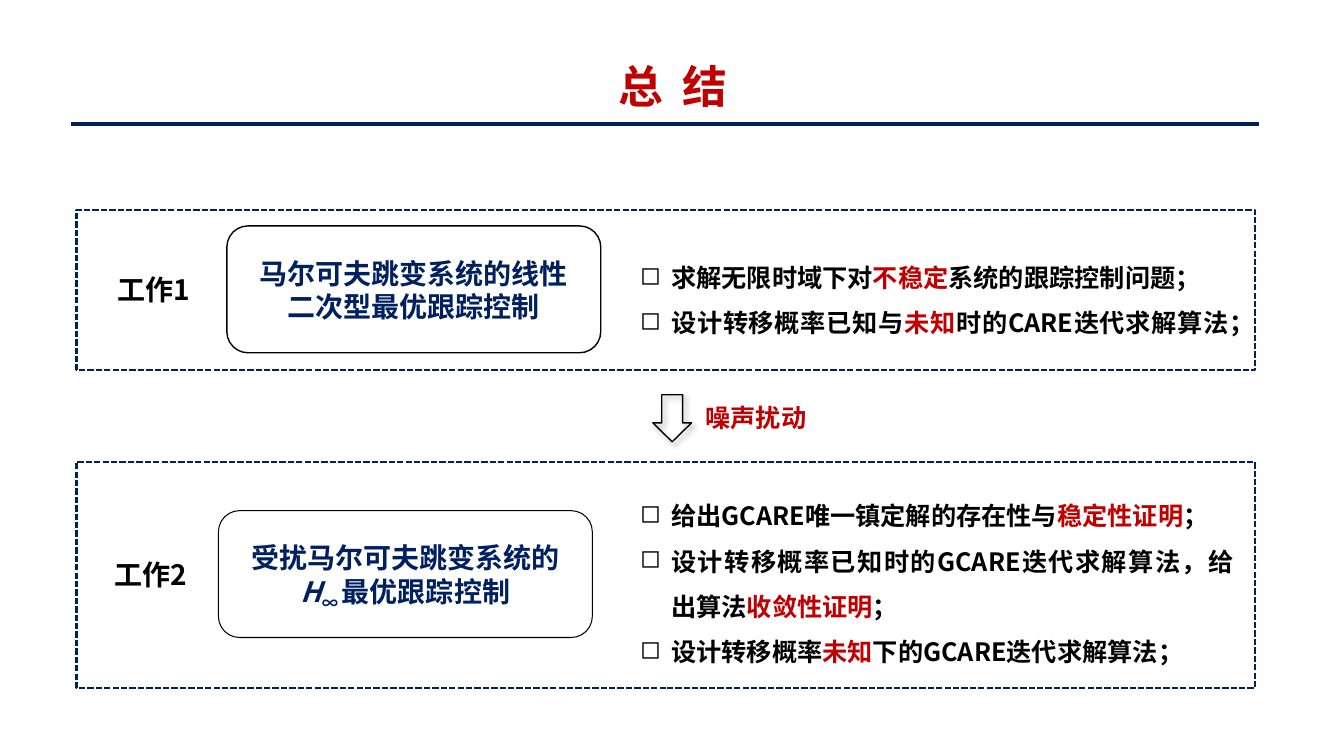
from dataclasses import dataclass

from lxml.etree import SubElement
from pptx import Presentation
from pptx.dml.color import RGBColor
from pptx.enum.dml import MSO_LINE
from pptx.enum.shapes import MSO_CONNECTOR, MSO_SHAPE
from pptx.enum.text import MSO_ANCHOR, MSO_AUTO_SIZE, PP_ALIGN
from pptx.oxml.ns import qn
from pptx.util import Emu, Inches, Pt

RED = RGBColor(0xC0, 0x00, 0x00)
NAVY = RGBColor(0x00, 0x20, 0x60)
BLACK = RGBColor(0x00, 0x00, 0x00)
WHITE = RGBColor(0xFF, 0xFF, 0xFF)
FONT = "Noto Sans CJK SC"

# The slide is a grid of 160 columns by 90 rows with square cells
CELL = Inches(7.5) / 90


def cells(*counts: float) -> list[Emu]:
    return [Emu(round(count * CELL)) for count in counts]


@dataclass(frozen=True)
class Span:
    text: str
    color: RGBColor | None = None
    italic: bool = False
    baseline: int = 0


@dataclass(frozen=True)
class Work:
    label: str
    label_left: float
    frame_top: float
    frame_rows: float
    card_left: float
    card_top: float
    card_line: float
    topic: list[Span]
    findings_top: float
    findings_columns: float
    findings_rows: float
    findings: list[list[Span]]


WORKS = [
    Work("工作1", 12.5, 25, 19.1, 27, 26.9, 1,
         [Span("马尔可夫跳变系统的线性二次型最优跟踪控制")],
         28.8, 72.5, 11.5,
         [[Span("求解无限时域下对"), Span("不稳定", RED), Span("系统的跟踪控制问题；")],
          [Span("设计转移概率已知与"), Span("未知", RED), Span("时的CARE迭代求解算法；")]]),
    Work("工作2", 12.1, 55, 26.9, 26, 60.8, 0.75,
         [Span("受扰马尔可夫跳变系统的"), Span("H", italic=True),
          Span("∞ ", baseline=-25), Span("最优跟踪控制")],
         57.2, 73, 22.4,
         [[Span("给出GCARE唯一镇定解的存在性与"), Span("稳定性证明", RED), Span("；")],
          [Span("设计转移概率已知时的GCARE迭代求解算法，给出算法"),
           Span("收敛性证明", RED), Span("；")],
          [Span("设计转移概率"), Span("未知", RED), Span("下的GCARE迭代求解算法；")]]),
]


def write(frame, paragraphs: list[list[Span]], *, size: float, color: RGBColor = BLACK,
          align=PP_ALIGN.CENTER, line_spacing=None, before: float = 0,
          tracking: int = 0, bullet: str = "") -> None:
    """Fill a text frame with bold paragraphs of spans."""
    for index, spans in enumerate(paragraphs):
        paragraph = frame.add_paragraph() if index else frame.paragraphs[0]
        paragraph.alignment = align
        paragraph.space_before = Pt(before)
        if line_spacing:
            paragraph.line_spacing = line_spacing
        if bullet:
            properties = paragraph._p.get_or_add_pPr()
            properties.set("marL", str(Inches(0.31)))
            properties.set("indent", str(-Inches(0.31)))
            SubElement(properties, qn("a:buChar")).set("char", bullet)
        for span in spans:
            run = paragraph.add_run()
            run.text = span.text
            font = run.font
            font.name, font.size, font.bold = FONT, Pt(size), True
            font.italic = span.italic
            font.color.rgb = span.color or color
            run_properties = run._r.get_or_add_rPr()
            SubElement(run_properties, qn("a:ea")).set("typeface", FONT)
            if span.baseline:
                run_properties.set("baseline", str(span.baseline * 1000))
            if tracking:
                run_properties.set("spc", str(tracking))


def add_text(shapes, box: tuple[float, ...], paragraphs: list[list[Span]], *,
             wrap: bool = True, **text_format) -> None:
    frame = shapes.add_textbox(*cells(*box)).text_frame
    frame.word_wrap = wrap
    frame.auto_size = MSO_AUTO_SIZE.SHAPE_TO_FIT_TEXT
    write(frame, paragraphs, **text_format)


def add_outline(shapes, kind, box: tuple[float, ...], *, color: RGBColor,
                width: float, fill: RGBColor | None = None):
    shape = shapes.add_shape(kind, *cells(*box))
    shape.shadow.inherit = False
    if fill is None:
        shape.fill.background()
    else:
        shape.fill.solid()
        shape.fill.fore_color.rgb = fill
    shape.line.color.rgb = color
    shape.line.width = Pt(width)
    return shape


def add_heading(slide) -> None:
    title = slide.shapes.title
    title.left, title.top, title.width, title.height = cells(26.2, 5.5, 107.8, 8.5)
    title.text_frame.vertical_anchor = MSO_ANCHOR.BOTTOM
    write(title.text_frame, [[Span("总 结")]], size=32, color=RED,
          line_spacing=Pt(30), tracking=360)
    rule = slide.shapes.add_connector(MSO_CONNECTOR.STRAIGHT, *cells(8.5, 14.8, 149.8, 14.8))
    rule.line.color.rgb = NAVY
    rule.line.width = Pt(3)
    SubElement(rule._element.spPr, qn("a:effectLst"))


def add_work(slide, work: Work) -> None:
    shapes = slide.shapes
    add_text(shapes, (work.label_left, work.card_top + 5, 11.6, 5.3),
             [[Span(work.label)]], size=20, before=3)

    # Topic card
    card = shapes.add_group_shape().shapes
    add_outline(card, MSO_SHAPE.ROUNDED_RECTANGLE,
                (work.card_left, work.card_top, 44.5, 15.1),
                color=BLACK, width=work.card_line, fill=WHITE)
    add_text(card, (work.card_left + 2.5, work.card_top + 3, 39.5, 9.2),
             [work.topic], size=20, color=NAVY)

    # Findings and the dashed frame around the whole work
    add_text(shapes, (75, work.findings_top, work.findings_columns, work.findings_rows),
             work.findings, size=18, align=PP_ALIGN.JUSTIFY, line_spacing=1.5, bullet="◻")
    frame = add_outline(shapes, MSO_SHAPE.RECTANGLE,
                        (9.1, work.frame_top, 140.3, work.frame_rows),
                        color=NAVY, width=1.5)
    frame.line.dash_style = MSO_LINE.SQUARE_DOT


def add_transition(slide) -> None:
    arrow = add_outline(slide.shapes, MSO_SHAPE.RIGHT_ARROW, (77.2, 47.5, 5.6, 4.6),
                        color=BLACK, width=1)
    arrow.rotation = 90
    arrow.adjustments[0], arrow.adjustments[1] = 0.54, 0.49
    effects = arrow._element.spPr.find(qn("a:effectLst"))
    shadow = SubElement(effects, qn("a:outerShdw"), blurRad=str(Pt(4)), dist=str(Pt(3)),
                        dir=str(45 * 60000), algn="tl", rotWithShape="0")
    tint = SubElement(shadow, qn("a:srgbClr"), val=str(BLACK))
    SubElement(tint, qn("a:alpha"), val="40000")
    add_text(slide.shapes, (82.8, 47.3, 15.1, 4.8), [[Span("噪声扰动")]], wrap=False,
             size=18, color=RED, align=PP_ALIGN.LEFT)


def main() -> None:
    deck = Presentation()
    deck.slide_width, deck.slide_height = Inches(13.33), Inches(7.5)
    slide = deck.slides.add_slide(deck.slide_layouts[5])
    add_heading(slide)
    for work in WORKS:
        add_work(slide, work)
    add_transition(slide)
    deck.save("out.pptx")


if __name__ == "__main__":
    main()
